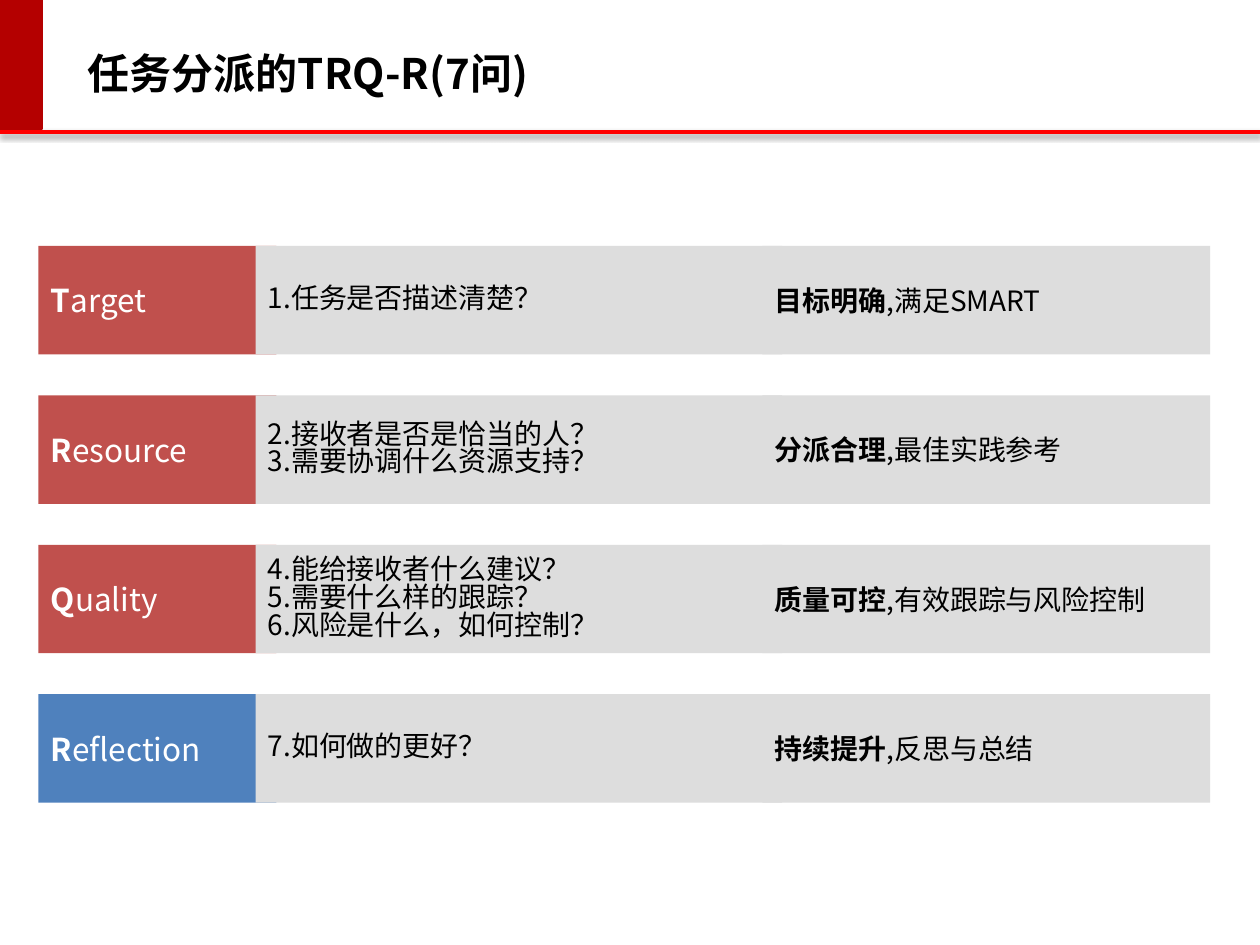
from pptx import Presentation
from pptx.util import Pt
from pptx.dml.color import RGBColor as RGB
from pptx.enum.shapes import MSO_SHAPE as Shape, MSO_CONNECTOR as Line
from pptx.enum.text import MSO_ANCHOR as Anchor
from pptx.oxml import parse_xml
from pptx.oxml.ns import nsdecls, qn
from lxml.etree import SubElement

FONT = "Noto Sans CJK SC"
HUES = {"rule": "FF0000", "tab": "B40000", "red": "C0504D", "blue": "4F81BD",
        "grey": "DDDDDD", "black": "000000", "white": "FFFFFF"}
ROWS = [
    ("T", "arget", "red", ["1.任务是否描述清楚？"], "目标明确", ",满足SMART"),
    ("R", "esource", "red", ["2.接收者是否是恰当的人？", "3.需要协调什么资源支持？"],
     "分派合理", ",最佳实践参考"),
    ("Q", "uality", "red", ["4.能给接收者什么建议？", "5.需要什么样的跟踪？", "6.风险是什么，如何控制？"],
     "质量可控", ",有效跟踪与风险控制"),
    ("R", "eflection", "blue", ["7.如何做的更好？"], "持续提升", ",反思与总结"),
]


def hue(name):
    """Return the colour called name."""
    return RGB.from_string(HUES[name])


def style(run, size, name, bold=False):
    """Set the font of a run for Latin and Chinese text."""
    font = run.font
    font.name, font.size, font.bold = FONT, Pt(size), bold
    font.color.rgb = hue(name)
    SubElement(run._r.get_or_add_rPr(), qn("a:ea")).set("typeface", FONT)


def write(frame, lines, size, name, space=None):
    """Fill a frame with lines, each a list of (text, bold) runs."""
    frame.word_wrap = True
    frame.vertical_anchor = Anchor.MIDDLE
    frame.text = "\n".join("" for _ in lines)
    for para, parts in zip(frame.paragraphs, lines):
        para.alignment = 1
        para.line_spacing = space
        for text, bold in parts:
            run = para.add_run()
            run.text = text
            style(run, size, name, bold)


def block(slide, box, name):
    """Add a plain filled rectangle."""
    rect = slide.shapes.add_shape(Shape.RECTANGLE, *map(Pt, box))
    rect.shadow.inherit = False
    rect.fill.solid()
    rect.fill.fore_color.rgb = hue(name)
    rect.line.fill.background()
    return rect


def header(slide, box, title):
    """Draw the rule, the tab and the title in a box."""
    x, y, w, h = box
    rule = slide.shapes.add_connector(Line.STRAIGHT, Pt(x), Pt(y + h), Pt(x + w), Pt(y + h))
    rule.line.color.rgb = hue("rule")
    rule.line.width = Pt(2.25)
    rule._element.spPr.append(parse_xml(
        f'<a:effectLst {nsdecls("a")}><a:outerShdw blurRad="{Pt(3.1)}" dist="{Pt(1.6)}" '
        f'dir="5400000" rotWithShape="0"><a:srgbClr val="{HUES["black"]}">'
        '<a:alpha val="38000"/></a:srgbClr></a:outerShdw></a:effectLst>'))
    tab = block(slide, (x, y, 24, h - 2), "tab")
    tab.line.color.rgb = hue("tab")
    tab.line.width = Pt(1)
    head = slide.shapes.add_textbox(Pt(x + 43.2), Pt(y + 21.6), Pt(560), Pt(40.3))
    write(head.text_frame, [[(title, True)]], 24, "black")


def band(slide, box, row):
    """Draw one row: label, questions and outcome."""
    x, y, w, h = box
    first, rest, name, asks, key, note = row
    label = block(slide, (x, y, 136, h), name)
    write(label.text_frame, [[(first, True), (rest, False)]], 18, "white")
    ask = block(slide, (x + 124, y, 301, h), "grey")
    write(ask.text_frame, [[(text, False)] for text in asks], 16, "black", 0.83)
    goal = block(slide, (x + 413.7, y, w - 413.7, h), "grey")
    write(goal.text_frame, [[(key, True), (note, False)]], 16, "black")


def main():
    """Build and save the slide."""
    deck = Presentation()
    deck.slide_width, deck.slide_height = Pt(720), Pt(540)
    slide = deck.slides.add_slide(deck.slide_layouts[6])
    header(slide, (0, 0, 720, 75.6), "任务分派的TRQ-R(7问)")
    for i, row in enumerate(ROWS):
        band(slide, (22, 140.5 + 85.4 * i, 669.5, 62), row)
    deck.save("out.pptx")


main()
